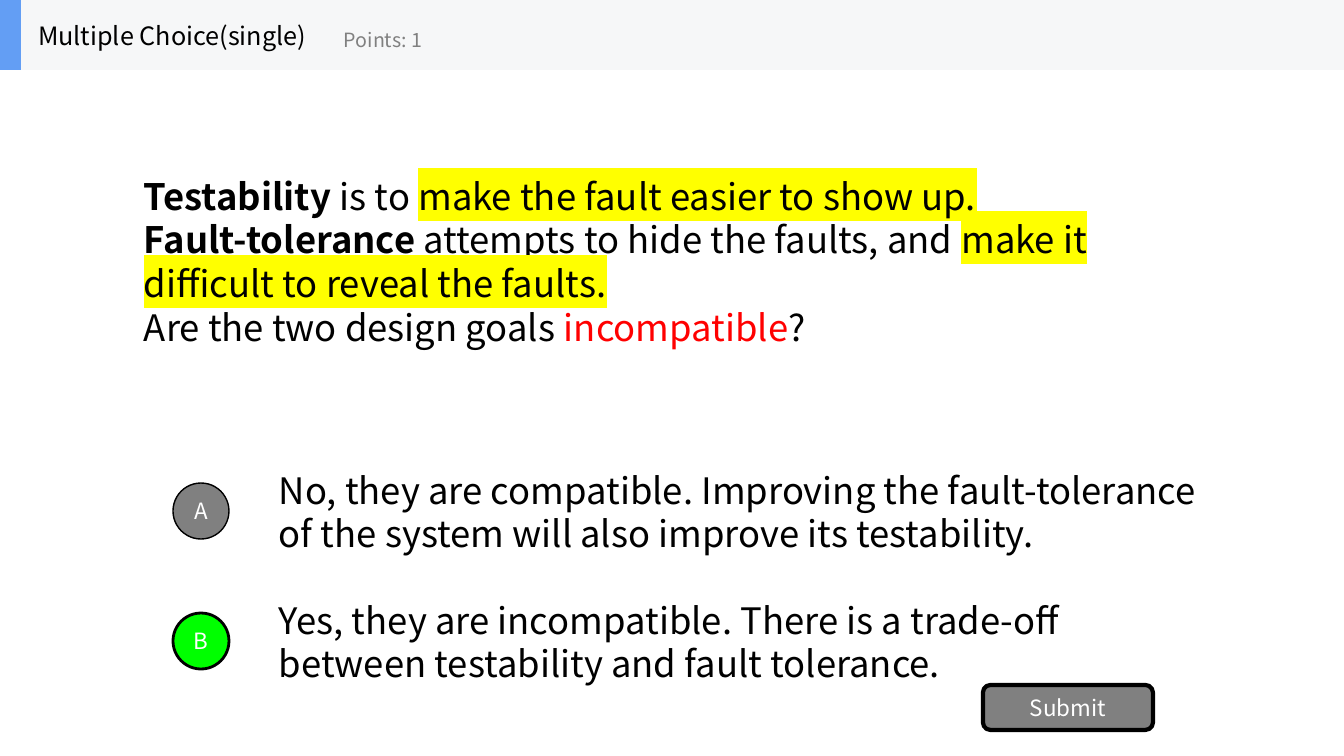
"""Build a single-answer multiple choice slide."""
from dataclasses import dataclass

import lxml.etree
import pptx
import pptx.dml.color
import pptx.enum.shapes
import pptx.enum.text
import pptx.oxml.ns
import pptx.util

SCALE = 914400 / 100.8
FONT = "Noto Sans CJK SC"
COLORS = {
    "black": "000000", "white": "FFFFFF", "gray": "808080", "green": "00FF00",
    "red": "FF0000", "yellow": "FFFF00", "band": "F6F7F8", "accent": "639EF4",
}
SHAPES = pptx.enum.shapes.MSO_SHAPE
ALIGN = pptx.enum.text.PP_ALIGN
FRAME_FORMAT = {
    "vertical_anchor": pptx.enum.text.MSO_ANCHOR.MIDDLE,
    "auto_size": pptx.enum.text.MSO_AUTO_SIZE.NONE,
}
NO_INSETS = {f"margin_{side}": 0 for side in ("left", "top", "right", "bottom")}


@dataclass(frozen=True)
class Box:
    left: int
    top: int
    width: int
    height: int

    def emu(self) -> list[int]:
        return [round(v * SCALE) for v in (self.left, self.top, self.width, self.height)]


@dataclass(frozen=True)
class Run:
    text: str
    bold: bool = False
    color: str = "black"
    highlight: str = ""


@dataclass(frozen=True)
class Option:
    letter: str
    text: str
    fill: str
    line: int


QUESTION = [
    [Run("Testability", bold=True), Run(" is to "),
     Run("make the fault easier to show up.", highlight="yellow")],
    [Run("Fault-tolerance", bold=True), Run(" attempts to hide the faults, and "),
     Run("make it difficult to reveal the faults.", highlight="yellow")],
    [Run("Are the two design goals "), Run("incompatible", color="red"), Run("?")],
]
OPTIONS = [
    Option("A", "No, they are compatible. Improving the fault-tolerance of the system "
                "will also improve its testability.", "gray", 1),
    Option("B", "Yes, they are incompatible. There is a trade-off between testability "
                "and fault tolerance.", "green", 2),
]
OPTION_TOP = 476
OPTION_PITCH = 130


def rgb(name: str) -> pptx.dml.color.RGBColor:
    return pptx.dml.color.RGBColor.from_string(COLORS[name])


def apply(target: object, values: dict) -> None:
    for name, value in values.items():
        setattr(target, name, value)


def add_highlight(r, color: str) -> None:
    qn = pptx.oxml.ns.qn
    highlight = lxml.etree.Element(qn("a:highlight"))
    lxml.etree.SubElement(highlight, qn("a:srgbClr"), val=COLORS[color])
    r.font.color.rgb = r.font.color.rgb
    next(r._r.iter(qn("a:latin"))).addprevious(highlight)


def write(sp, paragraphs: list[list[Run]], size: int, align=ALIGN.LEFT,
          wrap: bool = True, frame: dict | None = None) -> None:
    tf = sp.text_frame
    apply(tf, FRAME_FORMAT | {"word_wrap": wrap} | (frame or {}))
    for i, runs in enumerate(paragraphs):
        p = tf.add_paragraph() if i else tf.paragraphs[0]
        apply(p, {"alignment": align, "line_spacing": 1.0})
        for run in runs:
            r = p.add_run()
            r.text = run.text
            apply(r.font, {"name": FONT, "size": pptx.util.Pt(size), "bold": run.bold})
            r.font.color.rgb = rgb(run.color)
            if run.highlight:
                add_highlight(r, run.highlight)


def add_text(s, box: Box, paragraphs: list[list[Run]], size: int, wrap: bool = True) -> None:
    write(s.shapes.add_textbox(*box.emu()), paragraphs, size, wrap=wrap)


def add_shape(s, kind, box: Box, fill: str, line: int = 0, label: str = "") -> None:
    sp = s.shapes.add_shape(kind, *box.emu())
    sp.shadow.inherit = False
    sp.fill.solid()
    sp.fill.fore_color.rgb = rgb(fill)
    if line:
        sp.line.color.rgb = rgb("black")
        sp.line.width = pptx.util.Pt(line)
    else:
        sp.line.fill.background()
    if label:
        write(sp, [[Run(label, color="white")]], 16, align=ALIGN.CENTER, frame=NO_INSETS)


def add_header(s) -> None:
    add_shape(s, SHAPES.RECTANGLE, Box(0, 0, 1344, 70), "band")
    add_shape(s, SHAPES.RECTANGLE, Box(0, 0, 21, 70), "accent")
    title = s.shapes.title
    s.shapes.element.append(title.element)
    apply(title, dict(zip(("left", "top", "width", "height"), Box(28, 0, 290, 70).emu())))
    write(title, [[Run("Multiple Choice(single)")]], 18, wrap=False)
    add_text(s, Box(334, 12, 252, 56), [[Run("Points: 1", color="gray")]], 14, wrap=False)


def main() -> None:
    prs = pptx.Presentation()
    apply(prs, {"slide_width": round(1344 * SCALE), "slide_height": round(756 * SCALE)})
    s = prs.slides.add_slide(prs.slide_layouts.get_by_name("Title Only"))
    add_text(s, Box(134, 113, 1075, 296), QUESTION, 26)
    for i, option in enumerate(OPTIONS):
        top = OPTION_TOP + i * OPTION_PITCH
        add_text(s, Box(269, top, 941, 71), [[Run(option.text)]], 26)
        add_shape(s, SHAPES.OVAL, Box(173, top + 7, 56, 56),
                  option.fill, option.line, option.letter)
    add_shape(s, SHAPES.ROUNDED_RECTANGLE, Box(983, 685, 170, 45), "gray", 3, "Submit")
    add_header(s)
    prs.save("out.pptx")


if __name__ == "__main__":
    main()
